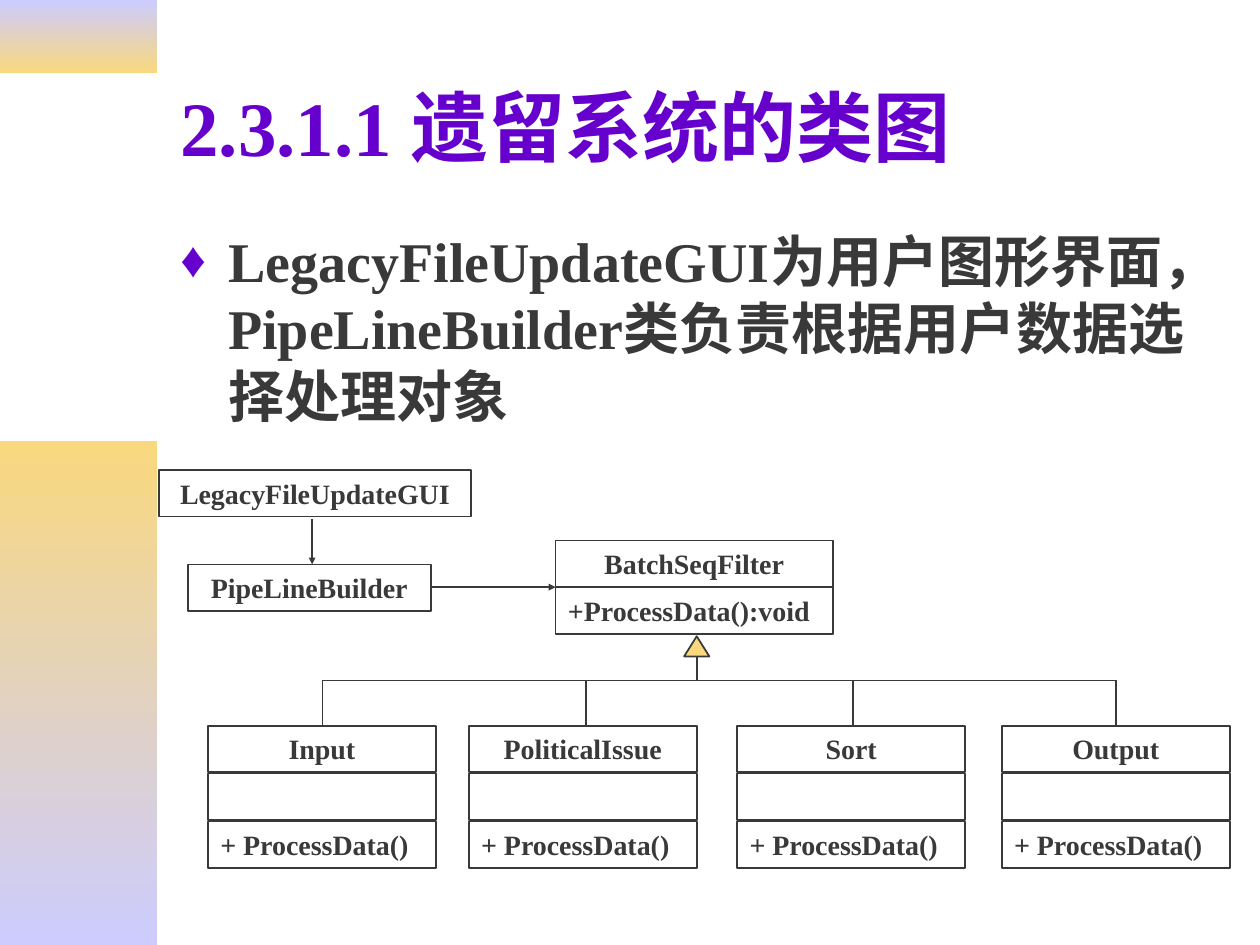
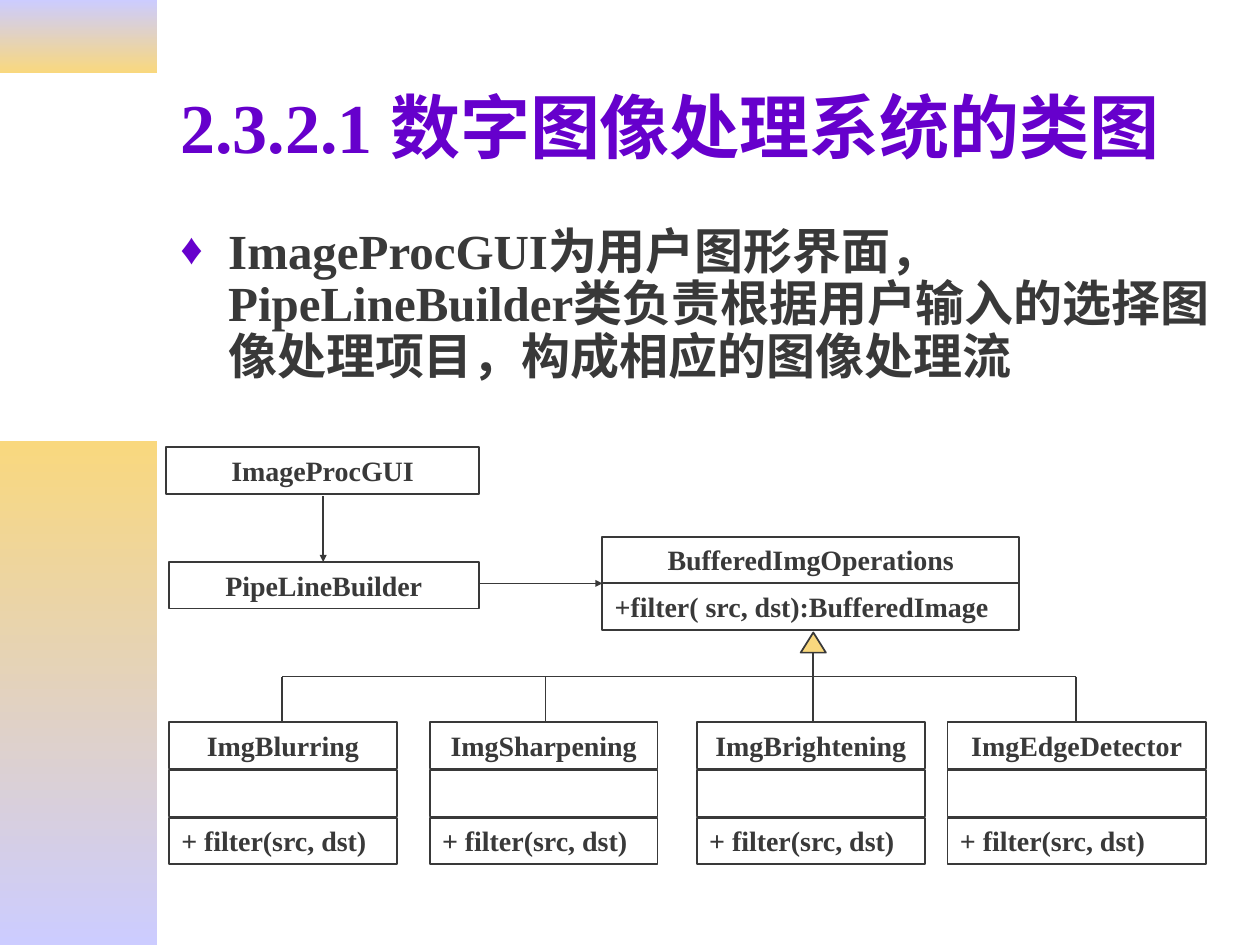
"""Build two class-diagram slides that share one title, band and diagram style."""
from lxml.etree import SubElement
from pptx import Presentation
from pptx.dml.color import RGBColor as RGB
from pptx.enum.lang import MSO_LANGUAGE_ID as LANG
from pptx.enum.shapes import MSO_CONNECTOR as CONN, MSO_SHAPE as SHAPE
from pptx.enum.text import MSO_ANCHOR as ANCHOR, MSO_AUTO_SIZE as FIT, PP_ALIGN as ALIGN
from pptx.oxml.ns import qn
from pptx.util import Inches, Pt

SLIDES = [
    dict(
        title="2.3.1.1 遗留系统的类图", title_size=44,
        body="LegacyFileUpdateGUI为用户图形界面，PipeLineBuilder类负责根据用户数据选择处理对象",
        body_size=32, spacing=1.0,
        gui=("LegacyFileUpdateGUI", 1.26, 3.73, 2.48),
        builder=("PipeLineBuilder", 1.49, 4.48, 1.93),
        base=("BatchSeqFilter", 4.41, 4.29, 2.2), operation="+ProcessData():void",
        leaf_operation="+ ProcessData()", bus_left=2.56,
        leaves=[("Input", 1.65, 1.81), ("PoliticalIssue", 3.72, 1.81),
                ("Sort", 5.85, 1.81), ("Output", 7.95, 1.81)],
    ),
    dict(
        title="2.3.2.1 数字图像处理系统的类图", title_size=40,
        body="ImageProcGUI为用户图形界面，PipeLineBuilder类负责根据用户输入的选择图像处理项目，构成相应的图像处理流",
        body_size=28, spacing=0.9,
        gui=("ImageProcGUI", 1.32, 3.55, 2.48),
        builder=("PipeLineBuilder", 1.34, 4.46, 2.46),
        base=("BufferedImgOperations", 4.78, 4.26, 3.31),
        operation="+filter( src, dst):BufferedImage",
        leaf_operation="+ filter(src, dst)", bus_left=2.24,
        leaves=[("ImgBlurring", 1.34, 1.81), ("ImgSharpening", 3.41, 1.81),
                ("ImgBrightening", 5.53, 1.81), ("ImgEdgeDetector", 7.52, 2.05)],
    ),
]
THEME = dict(font="Times New Roman", ink="393939", accent="6600CC", gold="F9D87E",
             lilac="CCCCFF", label=16, line=1)
WIDTH, HEIGHT = 10, 7.5
BANDS = [(0, 0.58, ("lilac", "gold")), (3.5, 4, ("gold", "lilac"))]
BAND_WIDTH = WIDTH / 8
TEXT_LEFT = WIDTH * 2 / 15
TITLE_AT, BODY_AT = (TEXT_LEFT, HEIGHT * 2 / 45, 8.5, 1.32), (TEXT_LEFT, 1.75, 8.5, 1.72)
ROW, PITCH = 0.37, 0.38
DROPS = (0, 2.09, 4.21, 6.3)
HEAD_DY, BUS_DY, LEAF_DY = 0.76, 1.11, 1.47
HEAD_W, HEAD_H = 0.2, 0.16


def color(name):
    return RGB.from_string(THEME[name])


def write(tf, text, size, ink="ink", **layout):
    p = tf.paragraphs[0]
    for key, value in layout.items():
        setattr(p, key, value)
    r = p.add_run()
    r.text = text
    fmt = dict(name=THEME["font"], size=Pt(size), bold=True,
               language_id=LANG.SIMPLIFIED_CHINESE)
    for key, value in fmt.items():
        setattr(r.font, key, value)
    r.font.color.rgb = color(ink)


def text_box(s, at):
    tf = s.shapes.add_textbox(*map(Inches, at)).text_frame
    tf.word_wrap = True
    return tf


def add_bullet(p):
    pPr = p._p.get_or_add_pPr()
    for key, value in dict(marL=Inches(0.38), indent=-Inches(0.38), hangingPunct=0).items():
        pPr.set(key, str(value))
    clr = SubElement(pPr, qn("a:buClr"))
    SubElement(clr, qn("a:srgbClr"), val=THEME["accent"])
    SubElement(pPr, qn("a:buSzPct"), val="90000")
    SubElement(pPr, qn("a:buFont"), typeface=THEME["font"])
    SubElement(pPr, qn("a:buChar"), char="♦")


def shape(s, kind, *at):
    sp = s.shapes.add_shape(kind, *map(Inches, at))
    sp.shadow.inherit = False
    return sp


def outline(line):
    line.color.rgb = color("ink")
    line.width = Pt(THEME["line"])


def box(s, text, x, y, w, align=ALIGN.CENTER):
    sp = shape(s, SHAPE.RECTANGLE, x, y, w, ROW)
    sp.fill.background()
    outline(sp.line)
    if text:
        tf = sp.text_frame
        for key, value in dict(vertical_anchor=ANCHOR.TOP, word_wrap=True,
                               auto_size=FIT.SHAPE_TO_FIT_TEXT).items():
            setattr(tf, key, value)
        write(tf, text, THEME["label"], alignment=align)


def link(s, *ends, arrow=False):
    c = s.shapes.add_connector(CONN.STRAIGHT, *map(Inches, ends))
    outline(c.line)
    if arrow:
        SubElement(c.line._get_or_add_ln(), qn("a:tailEnd"), type="triangle", w="sm", len="sm")
    SubElement(c._element.spPr, qn("a:effectLst"))


def add_frame(s, data):
    for top, height, names in BANDS:
        sp = shape(s, SHAPE.RECTANGLE, 0, top, BAND_WIDTH, height)
        sp.line.fill.background()
        sp.fill.gradient()
        sp.fill.gradient_angle = 270
        for stop, name, position in zip(sp.fill.gradient_stops, names, (0, 1)):
            stop.color.rgb = color(name)
            stop.position = position
    tf = text_box(s, TITLE_AT)
    tf.vertical_anchor = ANCHOR.MIDDLE
    write(tf, data["title"], data["title_size"], "accent")
    tf = text_box(s, BODY_AT)
    add_bullet(tf.paragraphs[0])
    write(tf, data["body"], data["body_size"], line_spacing=data["spacing"])


def add_callers(s, data):
    _, gx, gy, gw = data["gui"]
    _, bx, by, bw = data["builder"]
    _, x, y, _ = data["base"]
    box(s, *data["gui"])
    box(s, *data["builder"])
    middle = (gx + gw / 2 + bx + bw / 2) / 2
    link(s, middle, gy + ROW + 0.02, middle, by, arrow=True)
    link(s, bx + bw + 0.01, y + ROW, x, y + ROW, arrow=True)


def add_hierarchy(s, data):
    _, x, y, w = data["base"]
    box(s, *data["base"])
    box(s, data["operation"], x, y + ROW, w, ALIGN.LEFT)
    head, bus, leaf = y + HEAD_DY, y + BUS_DY, y + LEAF_DY
    stem = x + w / 2 + 0.02
    sp = shape(s, SHAPE.ISOSCELES_TRIANGLE, stem - HEAD_W / 2, head, HEAD_W, HEAD_H)
    sp.fill.solid()
    sp.fill.fore_color.rgb = color("gold")
    outline(sp.line)
    link(s, stem, head + HEAD_H, stem, bus)
    left = data["bus_left"]
    link(s, left, bus, left + DROPS[-1], bus)
    for drop, (name, lx, lw) in zip(DROPS, data["leaves"]):
        link(s, left + drop, bus, left + drop, leaf)
        rows = [(name, ALIGN.CENTER), ("", ALIGN.LEFT), (data["leaf_operation"], ALIGN.LEFT)]
        for i, (text, align) in enumerate(rows):
            box(s, text, lx, leaf + i * PITCH, lw, align)


def main():
    prs = Presentation()
    prs.slide_width, prs.slide_height = Inches(WIDTH), Inches(HEIGHT)
    for data in SLIDES:
        s = prs.slides.add_slide(prs.slide_layouts[6])
        for draw in (add_frame, add_callers, add_hierarchy):
            draw(s, data)
    prs.save("out.pptx")


if __name__ == "__main__":
    main()
